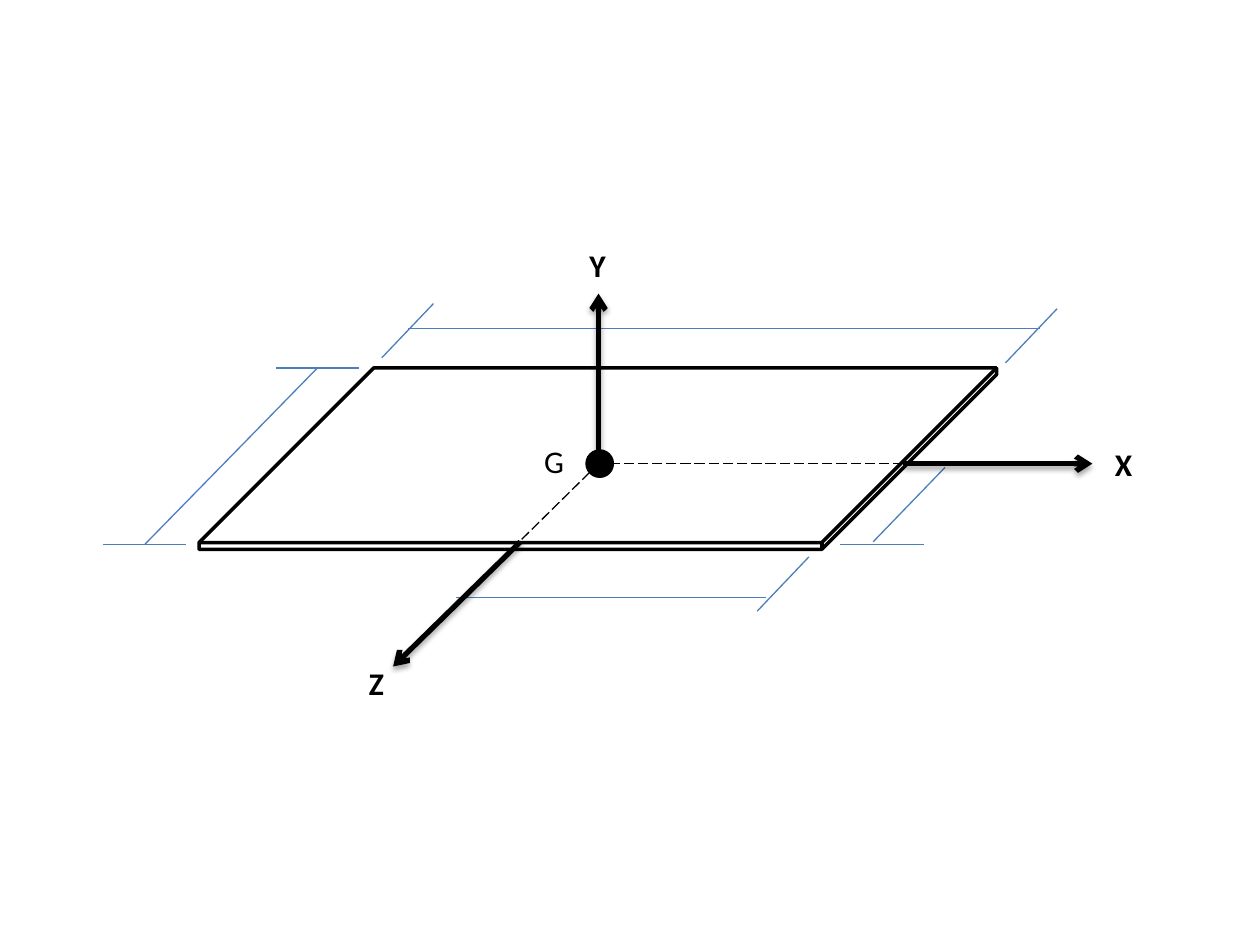
from lxml.etree import SubElement
from pptx import Presentation
from pptx.dml.color import RGBColor
from pptx.enum.dml import MSO_LINE
from pptx.enum.shapes import MSO_CONNECTOR, MSO_SHAPE
from pptx.enum.text import MSO_AUTO_SIZE
from pptx.oxml import parse_xml
from pptx.oxml.ns import nsdecls, qn
from pptx.util import Inches, Pt

BLACK = RGBColor(0x00, 0x00, 0x00)
BLUE = RGBColor(0x4B, 0x7E, 0xBC)
AXIS_SHADOW = (
    f'<a:effectLst {nsdecls("a")}>'
    '<a:outerShdw blurRad="39370" dist="22860" dir="5400000" rotWithShape="0">'
    '<a:srgbClr val="000000"><a:alpha val="35000"/></a:srgbClr>'
    '</a:outerShdw></a:effectLst>'
)


def add_line(slide, box, start, end, color, width=0.75):
    left, top = box[:2]
    line = slide.shapes.add_connector(
        MSO_CONNECTOR.STRAIGHT,
        Inches(left + start[0]), Inches(top + start[1]),
        Inches(left + end[0]), Inches(top + end[1]),
    )
    line.line.color.rgb = color
    line.line.width = Pt(width)
    return line


def add_plain_line(slide, box, start, end, color):
    line = add_line(slide, box, start, end, color)
    SubElement(line._element.spPr, qn("a:effectLst"))
    return line


def add_axis(slide, box, start, end):
    axis = add_line(slide, box, start, end, BLACK, 3)
    SubElement(axis.line._get_or_add_ln(), qn("a:tailEnd"), type="arrow")
    axis._element.spPr.append(parse_xml(AXIS_SHADOW))


def add_label(slide, box, text, x, y, width, bold=True):
    label = slide.shapes.add_textbox(
        Inches(box[0] + x), Inches(box[1] + y), Inches(width), Inches(0.4)
    )
    frame = label.text_frame
    frame.word_wrap = False
    frame.auto_size = MSO_AUTO_SIZE.SHAPE_TO_FIT_TEXT
    frame.text = text
    font = frame.paragraphs[0].runs[0].font
    font.name = "Calibri"
    font.size = Pt(18)
    font.bold = bold
    font.color.rgb = BLACK


def add_outlined_shape(slide, preset, left, top, width, height):
    shape = slide.shapes.add_shape(
        preset, Inches(left), Inches(top), Inches(width), Inches(height)
    )
    shape.shadow.inherit = False
    shape.line.color.rgb = BLACK
    shape.line.width = Pt(2)
    return shape


def draw_plate(slide, box):
    plate = add_outlined_shape(slide, MSO_SHAPE.CUBE, *box)
    plate.adjustments[0] = 0.963
    plate.fill.background()


def draw_dimensions(slide, box):
    for x, y in [(1.45, -0.08), (6.4, -0.04), (4.43, 1.93)]:
        add_plain_line(slide, box, (x, y), (x + 0.41, y - 0.43), BLUE)
    for x, y in [(-0.76, 1.4), (0.61, 0), (5.09, 1.4)]:
        add_plain_line(slide, box, (x, y), (x + 0.66, y), BLUE)
    for start, end in [
        ((-0.43, 1.4), (0.94, 0)),
        ((6.67, -0.31), (1.66, -0.31)),
        ((5.35, 1.38), (5.92, 0.79)),
        ((2.04, 1.82), (4.5, 1.82)),
    ]:
        add_plain_line(slide, box, start, end, BLUE)


def draw_axes(slide, box):
    for start, end in [
        ((5.59, 0.76), (7.09, 0.76)),
        ((2.55, 1.38), (1.54, 2.37)),
        ((3.17, 0.74), (3.17, -0.59)),
    ]:
        add_axis(slide, box, start, end)
    for start, end in [
        ((5.59, 0.76), (3.17, 0.76)),
        ((2.48, 1.44), (3.14, 0.79)),
    ]:
        hidden_axis = add_plain_line(slide, box, start, end, BLACK)
        hidden_axis.line.dash_style = MSO_LINE.LONG_DASH
    for text, x, y, width in [
        ("X", 7.17, 0.56, 0.34),
        ("Z", 1.25, 2.3, 0.32),
        ("Y", 3, -1.02, 0.33),
    ]:
        add_label(slide, box, text, x, y, width)


def draw_center(slide, box):
    center = add_outlined_shape(
        slide, MSO_SHAPE.OVAL, box[0] + 3.08, box[1] + 0.66, 0.2, 0.2
    )
    center.fill.solid()
    center.fill.fore_color.rgb = BLACK
    add_label(slide, box, "G", 2.64, 0.54, 0.36, bold=False)


def main():
    presentation = Presentation()
    presentation.slide_width = Inches(10)
    presentation.slide_height = Inches(7.5)
    slide = presentation.slides.add_slide(presentation.slide_layouts[6])
    plate_box = (1.58, 2.92, 6.33, 1.44)
    for draw in (draw_plate, draw_dimensions, draw_axes, draw_center):
        draw(slide, plate_box)
    presentation.save("out.pptx")


if __name__ == "__main__":
    main()
